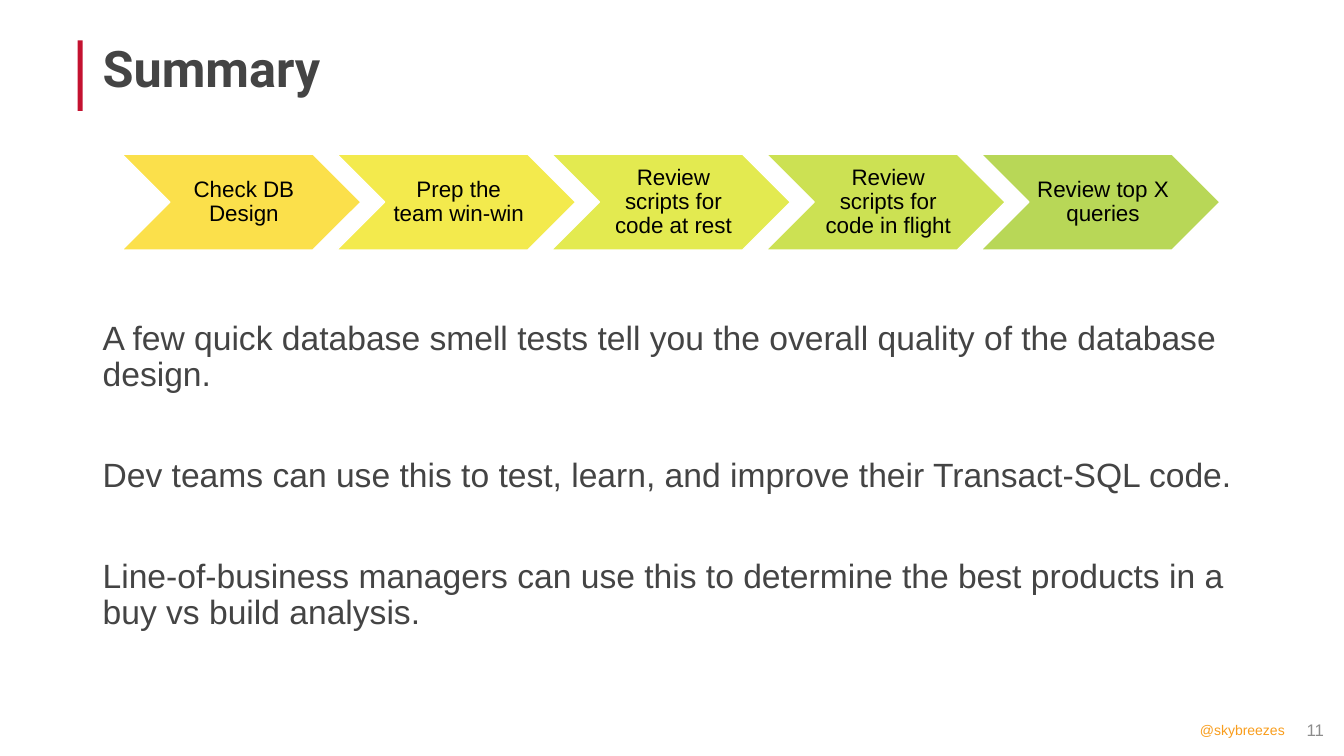
from dataclasses import dataclass

from pptx import Presentation
from pptx.dml.color import RGBColor
from pptx.enum.shapes import MSO_SHAPE as Preset
from pptx.enum.text import MSO_ANCHOR as Anchor, PP_ALIGN as Align
from pptx.util import Emu, Pt

PX = 9144  # one px is a hundredth of an inch


@dataclass(frozen=True)
class Theme:
    heading_font: str = "Roboto"
    body_font: str = "Arial"
    ink: str = "444444"
    step_ink: str = "000000"
    accent: str = "C41230"
    handle: str = "F99D1C"
    muted: str = "8C8C8C"
    outline: str = "FFFFFF"
    step_fills: tuple = ("FBE04B", "F3EA4D", "E3EA50", "CCE153", "B8D757")
    title_size: int = 36
    body_size: int = 24
    step_size: int = 16
    number_size: int = 12
    handle_size: int = 10


THEME = Theme()
STEPS = (
    "Check DB Design",
    "Prep the team win-win",
    "Review scripts for code at rest",
    "Review scripts for code in flight",
    "Review top X queries",
)
POINTS = (
    "A few quick database smell tests tell you the overall quality of the database design.",
    "Dev teams can use this to test, learn, and improve their Transact-SQL code.",
    "Line-of-business managers can use this to determine the best products in a "
    "buy vs build analysis.",
)


def px(*lengths):
    return [Emu(length * PX) for length in lengths]


def write_text(shape, *texts, size, color, font=THEME.body_font, bold=False,
               align=Align.LEFT, anchor=Anchor.MIDDLE, line_spacing=0.9,
               gap=0, insets=(10, 5, 10, 5)):
    """Fill a shape with one paragraph per text, gap points apart."""
    frame = shape.text_frame
    frame.word_wrap = True
    frame.vertical_anchor = anchor
    (frame.margin_left, frame.margin_top,
     frame.margin_right, frame.margin_bottom) = px(*insets)
    for index, text in enumerate(texts):
        paragraph = frame.add_paragraph() if index else frame.paragraphs[0]
        paragraph.alignment = align
        paragraph.line_spacing = line_spacing
        if index:
            paragraph.space_before = Pt(gap)
        run = paragraph.add_run()
        run.text = text
        run.font.name = font
        run.font.size = Pt(size)
        run.font.bold = bold
        run.font.color.rgb = RGBColor.from_string(color)


def add_text(slide, box, *texts, **text_format):
    write_text(slide.shapes.add_textbox(*px(*box)), *texts, **text_format)


def add_filled(slide, preset, box, fill, outline=None):
    shape = slide.shapes.add_shape(preset, *px(*box))
    shape.shadow.inherit = False
    shape.fill.solid()
    shape.fill.fore_color.rgb = RGBColor.from_string(fill)
    if outline:
        shape.line.color.rgb = RGBColor.from_string(outline)
        shape.line.width = Pt(1)
    else:
        shape.line.fill.background()
    return shape


def add_heading(slide, left, top, width, height):
    """Red bar at the left edge of the box, title beside it."""
    add_filled(slide, Preset.RECTANGLE, (left, top, 5, height), THEME.accent)
    add_text(slide, (left + 15, top - 5, width - 15, height + 2), "Summary",
             size=THEME.title_size, color=THEME.ink,
             font=THEME.heading_font, bold=True)


def add_steps(slide, left, top, width, height):
    """Row of overlapping chevrons that spans the box."""
    step_width = 237
    pitch = (width - step_width) // (len(STEPS) - 1)
    for index, (text, fill) in enumerate(zip(STEPS, THEME.step_fills)):
        box = (left + index * pitch, top, step_width, height)
        chevron = add_filled(slide, Preset.CHEVRON, box, fill, THEME.outline)
        write_text(chevron, text, size=THEME.step_size, color=THEME.step_ink,
                   align=Align.CENTER, insets=(7, 2, 2, 2))


def add_body(slide, *box):
    add_text(slide, box, *POINTS, size=THEME.body_size, color=THEME.ink,
             anchor=Anchor.TOP, gap=46)


def add_footer(slide, left, top, width, height):
    """Handle and slide number, both set to the right."""
    number_width = 44
    number_left = left + width - number_width
    add_text(slide, (left, top, 144, height), "@skybreezes",
             size=THEME.handle_size, color=THEME.handle,
             align=Align.RIGHT, line_spacing=1.0)
    add_text(slide, (number_left, top, number_width, height), "11",
             size=THEME.number_size, color=THEME.muted,
             align=Align.RIGHT, line_spacing=1.0)


def main():
    presentation = Presentation()
    presentation.slide_width, presentation.slide_height = px(1333, 750)
    slide = presentation.slides.add_slide(presentation.slide_layouts[6])
    add_heading(slide, 77, 40, 1165, 70)
    add_steps(slide, 121, 153, 1089, 95)
    add_body(slide, 92, 314, 1150, 336)
    add_footer(slide, 1140, 706, 183, 36)
    presentation.save("out.pptx")


if __name__ == "__main__":
    main()
